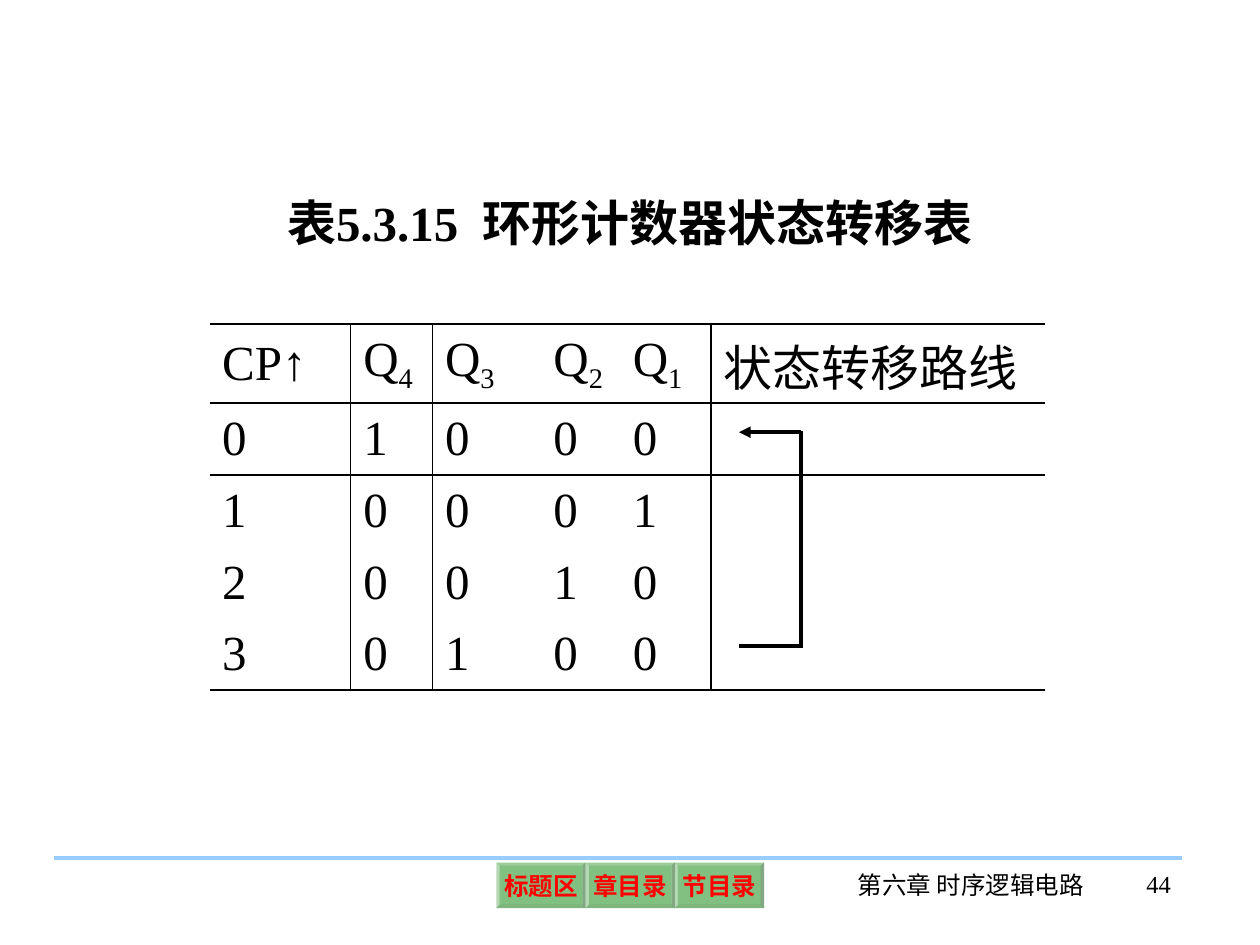
from lxml import etree
from pptx import Presentation
from pptx.dml.color import RGBColor
from pptx.enum.shapes import MSO_CONNECTOR, MSO_SHAPE
from pptx.enum.text import MSO_ANCHOR, PP_ALIGN
from pptx.oxml.ns import qn
from pptx.util import Pt

STRAIGHT = MSO_CONNECTOR.STRAIGHT
BEVEL = MSO_SHAPE.BEVEL
MIDDLE = MSO_ANCHOR.MIDDLE
LEFT, CENTER, RIGHT = PP_ALIGN.LEFT, PP_ALIGN.CENTER, PP_ALIGN.RIGHT

BLACK = RGBColor(0x00, 0x00, 0x00)
RED = RGBColor(0xFF, 0x00, 0x00)
GREEN = RGBColor(0x00, 0x80, 0x00)
SKY = RGBColor(0x99, 0xCC, 0xFF)

FONT = "Times New Roman"
BODY_SIZE, FOOTER_SIZE = 28, 14
LINE_WIDTH, BORDER_WIDTH = 2.25, 1.08
PLAIN_TABLE_STYLE = "{2D5ABB26-0587-4C30-8999-92F81FD0307C}"

COLUMN_WIDTHS = [80.6, 46.8, 61.9, 45.4, 51.8, 190.8]
ROW_HEIGHTS = [45.4] + [41] * 4
HEADINGS = ["CP↑", "Q4", "Q3", "Q2", "Q1", "状态转移路线"]
STATES = ["1000", "0001", "0010", "0100"]
BUTTONS = ["标题区", "章目录", "节目录"]


def style(paragraph, size, color=BLACK, bold=False, align=LEFT):
    paragraph.alignment = align
    font = paragraph.font
    font.name, font.size, font.bold = FONT, Pt(size), bold
    font.color.rgb = color


def add_label(slide, box, text, size, bold=False, align=LEFT):
    frame = slide.shapes.add_textbox(*map(Pt, box)).text_frame
    frame.word_wrap = True
    frame.text = text
    style(frame.paragraphs[0], size, bold=bold, align=align)


def add_line(slide, start, end, color, arrow=False):
    line = slide.shapes.add_connector(STRAIGHT, *map(Pt, start + end))
    line.line.color.rgb = color
    line.line.width = Pt(LINE_WIDTH)
    if arrow:
        etree.SubElement(line.line._get_or_add_ln(), qn("a:tailEnd"), type="triangle")
    etree.SubElement(line._element.spPr, qn("a:effectLst"))


def add_border(cell, side):
    border = etree.SubElement(cell._tc.get_or_add_tcPr(), qn("a:ln" + side),
                              w=str(Pt(BORDER_WIDTH)))
    fill = etree.SubElement(border, qn("a:solidFill"))
    etree.SubElement(fill, qn("a:srgbClr"), val=str(BLACK))


def fill_cell(cell, text):
    cell.vertical_anchor = MIDDLE
    paragraph = cell.text_frame.paragraphs[0]
    if text.startswith("Q"):
        paragraph.add_run().text = text[0]
        subscript = paragraph.add_run()
        subscript.text = text[1:]
        subscript.font._element.set("baseline", "-25000")
    else:
        paragraph.text = text
    style(paragraph, BODY_SIZE)


def build_state_table(slide, left, top):
    rows = [HEADINGS] + [[str(i), *bits, ""] for i, bits in enumerate(STATES)]
    frame = slide.shapes.add_table(len(rows), len(HEADINGS), Pt(left), Pt(top),
                                   Pt(sum(COLUMN_WIDTHS)), Pt(sum(ROW_HEIGHTS)))
    table = frame.table
    table.horz_banding = table.first_row = False
    table._tbl.tblPr.find(qn("a:tableStyleId")).text = PLAIN_TABLE_STYLE
    for column, width in zip(table.columns, COLUMN_WIDTHS):
        column.width = Pt(width)
    for row, height in zip(table.rows, ROW_HEIGHTS):
        row.height = Pt(height)

    # Rules above and below the heading and under the last row;
    # dividers beside the Q columns
    last_row = len(rows) - 1
    for r, texts in enumerate(rows):
        for c, text in enumerate(texts):
            cell = table.cell(r, c)
            sides = {"L": c in (1, 5), "R": c in (0, 4),
                     "T": r in (0, 1), "B": r in (0, last_row)}
            for side, ruled in sides.items():
                if ruled:
                    add_border(cell, side)
            cell.fill.background()
            fill_cell(cell, text)


def build_return_arrow(slide, left, top, width, height):
    right, bottom = left + width, top + height
    add_line(slide, (left, bottom), (right, bottom), BLACK)
    add_line(slide, (right, bottom + 0.9), (right, top - 0.9), BLACK)
    add_line(slide, (right, top), (left, top), BLACK, arrow=True)


def add_button(slide, box, text):
    button = slide.shapes.add_shape(BEVEL, *map(Pt, box))
    button.adjustments[0] = 0.07
    button.shadow.inherit = False
    button.fill.solid()
    button.fill.fore_color.rgb = GREEN
    color = button.fill._xPr.find(qn("a:solidFill"))[0]
    etree.SubElement(color, qn("a:alpha"), val="49000")
    button.line.fill.background()
    frame = button.text_frame
    frame.margin_left = frame.margin_right = Pt(3)
    frame.margin_top = frame.margin_bottom = Pt(3)
    frame.vertical_anchor = MIDDLE
    frame.word_wrap = False
    frame.text = text
    style(frame.paragraphs[0], FOOTER_SIZE, RED, bold=True, align=CENTER)


def build_footer(slide, left, top, width):
    add_line(slide, (left, top), (left + width, top), SKY)
    # Navigation buttons side by side
    button_width = 51
    for i, text in enumerate(BUTTONS):
        box = (left + 252.6 + i * button_width, top + 2.9, button_width, 25.9)
        add_button(slide, box, text)
    # Chapter name and page number
    add_label(slide, (left + 448.5, top + 3.6, 150.5, 36), "第六章 时序逻辑电路",
              FOOTER_SIZE, align=CENTER)
    add_label(slide, (left + width - 61.2, top + 2.9, 61.9, 36), "44",
              FOOTER_SIZE, align=RIGHT)


def main():
    prs = Presentation()
    prs.slide_width, prs.slide_height = Pt(720), Pt(540)
    slide = prs.slides.add_slide(prs.slide_layouts[6])
    add_label(slide, (157, 106.6, 408.2, 74.9), "表5.3.15  环形计数器状态转移表",
              BODY_SIZE, bold=True)
    build_state_table(slide, 119.8, 185)
    build_return_arrow(slide, 422.3, 247, 35.6, 122.4)
    build_footer(slide, 31, 490.1, 644.4)
    prs.save("out.pptx")


if __name__ == "__main__":
    main()
